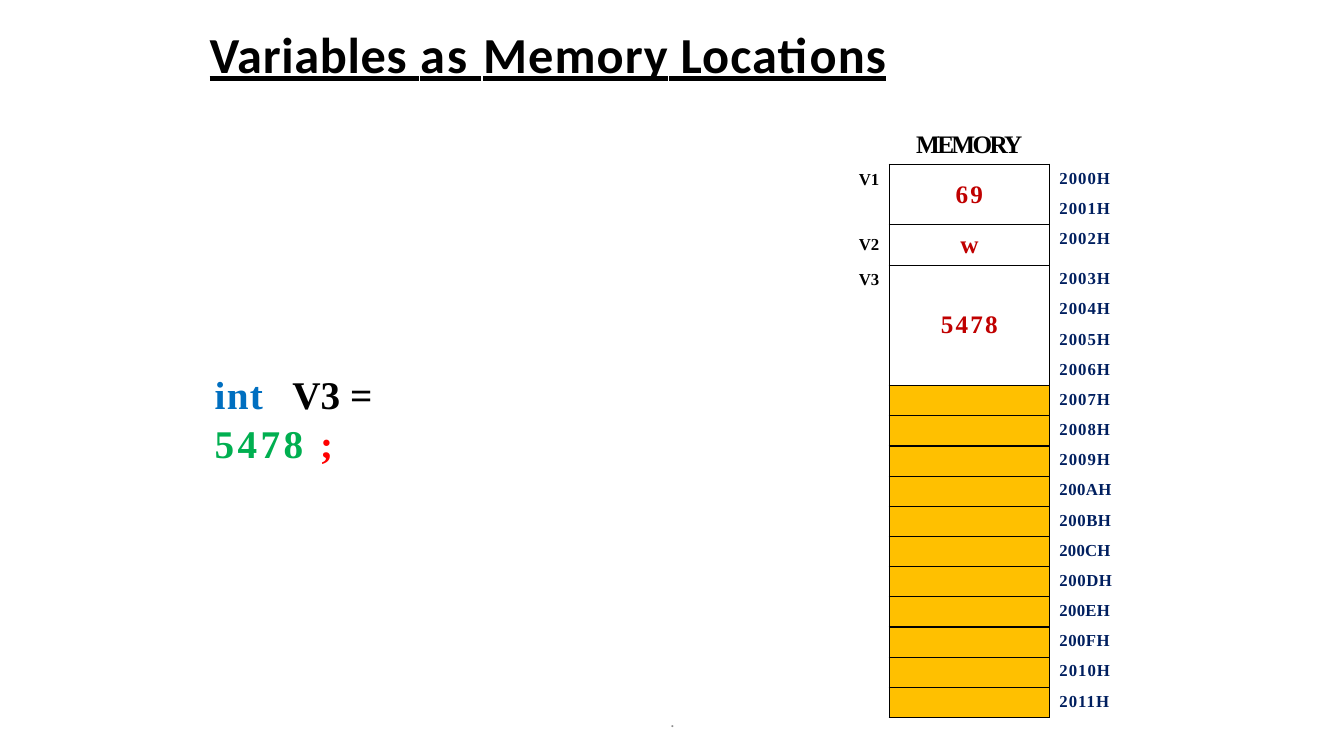
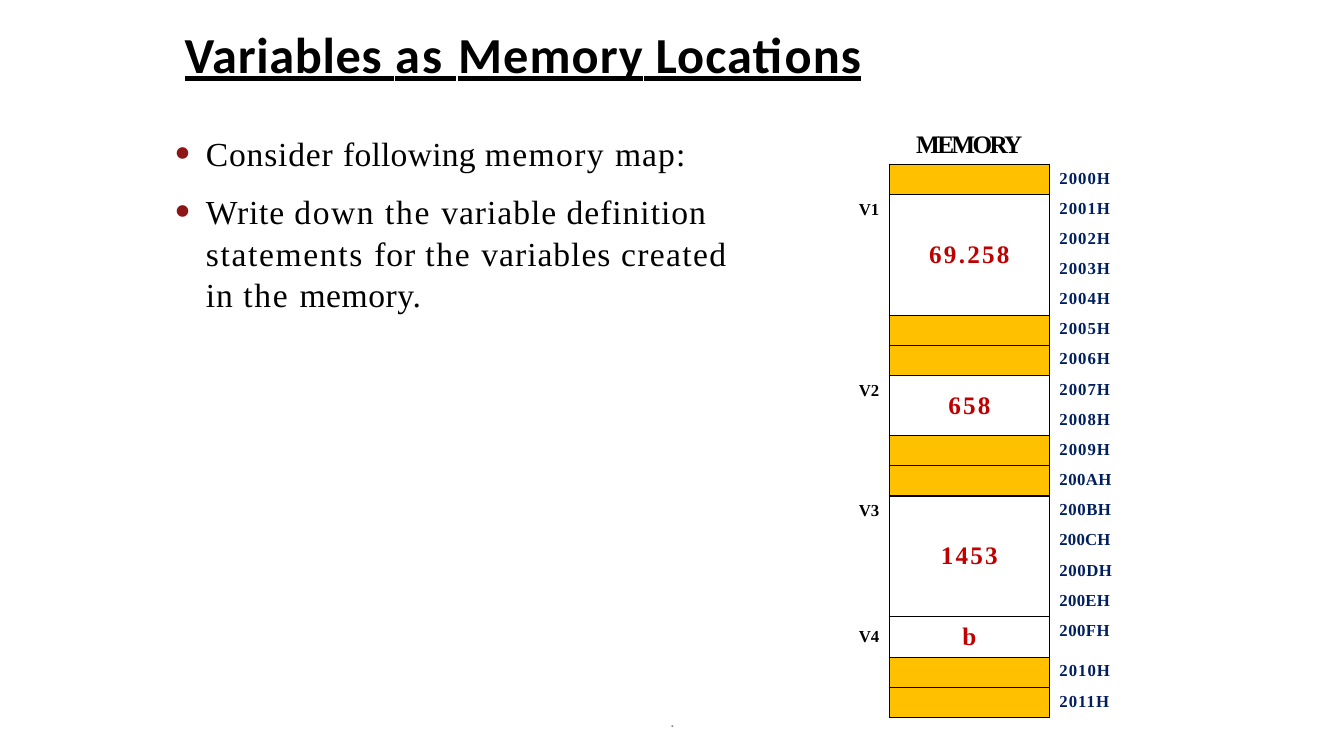
from lxml import etree
from pptx import Presentation
from pptx.dml.color import RGBColor
from pptx.enum.text import MSO_ANCHOR as Anchor, MSO_AUTO_SIZE as AutoSize, PP_ALIGN as Align
from pptx.oxml.ns import qn
from pptx.util import Cm, Pt

SERIF, SANS = "Times New Roman", "Calibri"
BLACK, RED, NAVY, AMBER = "000000", "C00000", "001F5F", "FFC000"
colour = RGBColor.from_string

TITLE = [("Variables ", 0.5), ("as ", 1.6), ("Memory", 0.8), (" ", -6.1), ("Locations", 0.8)]
STATEMENT = [("int\t", "006FC0", 1), ("V3 ", BLACK, 0), ("= ", BLACK, 0.6),
             ("5478 ", "00AF50", 2.5), (";", "FF0000", -1.6)]
BULLETS = [
    [("Consider ", 0.6), ("following ", 0.2), ("memory ", 1), ("map:", 0.8)],
    [("Write ", 0.6), ("down ", 1.1), ("the ", 1.2), ("variable definition ", 0.7),
     ("statements ", 1.2), ("for ", 0.6), ("the ", 1.2), ("variables ", 0.7),
     ("created ", 1), ("in ", 0.7), ("the ", 1.2), ("memory.", 0.4)],
]
FREE = ("", "", 1)
MAPS = [
    (5.28, [("V1", "69", 2), ("V2", "w", 1), ("V3", "5478", 4)] + [FREE] * 11),
    (4.65, [FREE, ("V1", "69.258", 4), FREE, FREE, ("V2", "658", 2), FREE, FREE,
            ("V3", "1453", 4), ("V4", "b", 1), FREE, FREE]),
]
ADDRESSES = [f"200{digit}H" for digit in "0123456789ABCDEF"] + ["2010H", "2011H"]
LETTER_SPACING = {"A": 0.3, "B": 0.4, "C": 0.1, "D": 0.4, "E": 0.2, "F": 0.3}
NO_GRID = "{2D5ABB26-0587-4C30-8999-92F81FD0307C}"


def write(para, text, size=12, font=SERIF, color=BLACK, bold=False, underline=False, spacing=0):
    span = para.add_run()
    span.text = text
    span.font.size = Pt(size)
    span.font.name = font
    span.font.bold = bold
    span.font.underline = underline
    span.font.color.rgb = colour(color)
    span._r.get_or_add_rPr().set("spc", str(round(spacing * 100)))


def outline(cell, sides):
    props = cell._tc.get_or_add_tcPr()
    for side in sides:
        line = etree.SubElement(props, qn(f"a:ln{side}"), w=str(Pt(1)))
        fill = etree.SubElement(line, qn("a:solidFill"))
        etree.SubElement(fill, qn("a:srgbClr"), val=BLACK)


deck = Presentation()
deck.slide_width, deck.slide_height = Cm(33.87), Cm(19.05)
pages = []

for title_left, blocks in MAPS:
    page = deck.slides.add_slide(deck.slide_layouts[5])
    pages.append(page)

    title = page.shapes.title
    title.left, title.top = Cm(title_left), Cm(0.56)
    title.width, title.height = Cm(27.4 - title_left), Cm(1.57)
    frame = title.text_frame
    frame.margin_left = frame.margin_right = frame.margin_top = frame.margin_bottom = 0
    frame.vertical_anchor = Anchor.MIDDLE
    frame.auto_size = AutoSize.NONE
    para = frame.paragraphs[0]
    para.alignment = Align.LEFT
    for text, spacing in TITLE:
        write(para, text, size=36, font=SANS, bold=True, underline=True, spacing=spacing)

    footer = page.shapes.add_textbox(Cm(11.23), Cm(17.65), Cm(11.43), Cm(1.02))
    footer.text_frame.word_wrap = True
    footer.text_frame.vertical_anchor = Anchor.MIDDLE
    para = footer.text_frame.paragraphs[0]
    para.alignment = Align.CENTER
    write(para, ".", font=SANS, color="8C8C8C", spacing=-0.7)

    holder = page.shapes.add_table(len(ADDRESSES) + 1, 3, Cm(21.29), Cm(3.38), Cm(7.11), Cm(14.7))
    table = holder.table
    table.first_row = table.horz_banding = False
    table._tbl.tblPr.find(qn("a:tableStyleId")).text = NO_GRID
    for column, width in zip(table.columns, (1.12, 4.04, 1.95)):
        column.width = Cm(width)
    for row in table.rows:
        row.height = Cm(0.76)
    for cell in table.iter_cells():
        cell.margin_left = cell.margin_right = cell.margin_top = cell.margin_bottom = 0
        cell.text_frame.paragraphs[0]._p.get_or_add_endParaRPr().set("sz", "1200")

    header = table.cell(0, 0)
    header.merge(table.cell(0, 2))
    header.margin_left = Cm(1.8)
    para = header.text_frame.paragraphs[0]
    para.line_spacing = Pt(17.6)
    write(para, "MEMORY", size=18, bold=True, spacing=-1.9)

    for index, address in enumerate(ADDRESSES, 1):
        outline(table.cell(index, 0), "R")
        cell = table.cell(index, 2)
        outline(cell, "L")
        cell.margin_left, cell.margin_top = Cm(0.25), Cm(0.12)
        write(cell.text_frame.paragraphs[0], address, color=NAVY, bold=True,
              spacing=LETTER_SPACING.get(address[3], 0.7))

    start = 1
    for name, value, size in blocks:
        label, content = table.cell(start, 0), table.cell(start, 1)
        outline(content, "LRTB")
        if name:
            label.margin_left = Cm(0.1)
            for cell in (label, content):
                cell.vertical_anchor = Anchor.MIDDLE
                cell.text_frame.paragraphs[0].alignment = Align.CENTER
            write(label.text_frame.paragraphs[0], name, bold=True, spacing=-0.1)
            write(content.text_frame.paragraphs[0], value, size=18, color=RED, bold=True,
                  spacing=1.6 if len(value) > 1 else 0)
            if size == 1:
                table.rows[start].height = Cm(1.02)
            else:
                content.merge(table.cell(start + size - 1, 1))
        else:
            content.fill.solid()
            content.fill.fore_color.rgb = colour(AMBER)
        start += size

box = pages[0].shapes.add_textbox(Cm(5.41), Cm(9.3), Cm(6.95), Cm(2.5))
frame = box.text_frame
frame.word_wrap = True
frame.margin_left = frame.margin_right = frame.margin_top = frame.margin_bottom = 0
para = frame.paragraphs[0]
para.line_spacing = 1.03
tabs = etree.SubElement(para._p.get_or_add_pPr(), qn("a:tabLst"))
etree.SubElement(tabs, qn("a:tab"), pos=str(Cm(1.96)), algn="l")
for text, color, spacing in STATEMENT:
    write(para, text, size=28, color=color, bold=True, spacing=spacing)

box = pages[1].shapes.add_textbox(Cm(4.34), Cm(3.33), Cm(14.2), Cm(4.55))
frame = box.text_frame
frame.word_wrap = True
frame.margin_left = frame.margin_right = frame.margin_top = frame.margin_bottom = 0
for index, spans in enumerate(BULLETS):
    para = frame.add_paragraph() if index else frame.paragraphs[0]
    para.line_spacing = 1.03
    if index:
        para.space_before = Pt(11.8)
    props = para._p.get_or_add_pPr()
    props.set("marL", str(Cm(0.85)))
    props.set("indent", str(-Cm(0.8)))
    tint = etree.SubElement(props, qn("a:buClr"))
    etree.SubElement(tint, qn("a:srgbClr"), val="8D1515")
    etree.SubElement(props, qn("a:buSzPct"), val="144000")
    etree.SubElement(props, qn("a:buFont"), typeface=SERIF)
    etree.SubElement(props, qn("a:buChar"), char="•")
    for text, spacing in spans:
        write(para, text, size=24, spacing=spacing)

deck.save("out.pptx")
